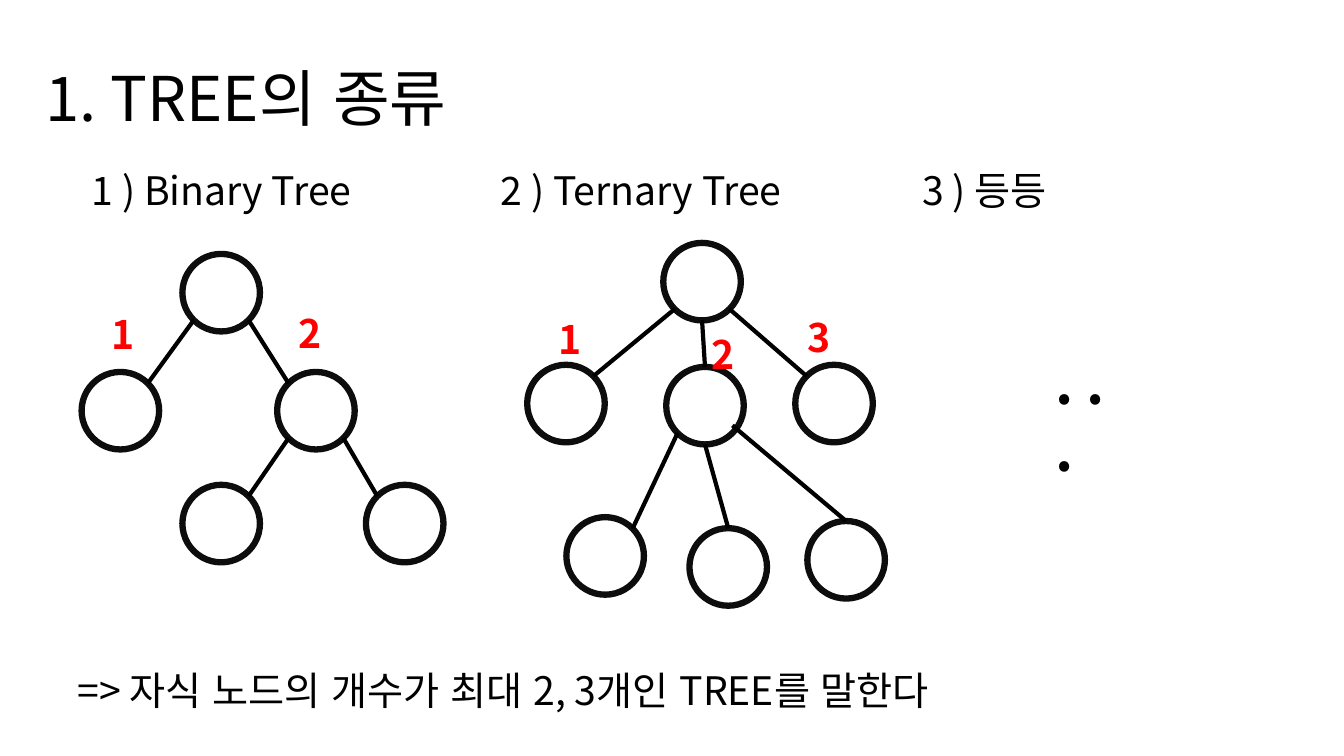
import math
from lxml import etree
from pptx import Presentation
from pptx import util as u
from pptx.dml import color
from pptx.enum import lang, shapes, text
from pptx.oxml import ns

FONT = "Noto Sans CJK KR"
BLACK, RED, WHITE, OUTLINE = "000000", "FF0000", "FFFFFF", "0D0D0D"
NODE = 55.4
SITES = {"top": -90, "top right": -45, "bottom right": 45,
         "bottom": 90, "bottom left": 135, "top left": -135}

BINARY = {
    "nodes": {"root": (130.3, 181.4), "left": (58.3, 265.7), "right": (198, 265.7),
              "right 1": (130.3, 346.3), "right 2": (261.4, 346.3)},
    "edges": [("root", "bottom left", "left", "top right", 0),
              ("root", "bottom right", "right", "top left", 0),
              ("right", "bottom right", "right 2", "top left", 0),
              ("right", "bottom left", "right 1", "top right", 0)],
    "labels": [("1", 72.7, 218.2), ("2", 205.9, 217.4)],
}
TERNARY = {
    "nodes": {"root": (473.8, 173.5), "left": (376.6, 260.6), "middle": (475.9, 262.1),
              "right": (568.1, 260.6), "middle 1": (404.6, 369.4),
              "middle 2": (492.5, 377.3), "middle 3": (576.7, 372.2)},
    "edges": [("root", "bottom left", "left", "top right", 0),
              ("root", "bottom", "middle", "top", 0),
              ("root", "bottom right", "right", "top left", 0),
              ("middle", "bottom left", "middle 1", "top right", 0),
              ("middle", "bottom", "middle 2", "top", 0),
              ("middle", "bottom right", "middle 3", "top", -5.5)],
    "labels": [("1", 391.7, 221.8), ("2", 501.1, 232.6), ("3", 569.5, 220.3)],
}


def rgb(value):
    return color.RGBColor.from_string(value)


def place(box, left, top, width, height):
    box.left, box.top = u.Pt(left), u.Pt(top)
    box.width, box.height = u.Pt(width), u.Pt(height)


def write(box, words, size, ink=BLACK, bold=False):
    frame = box.text_frame
    frame.text = words
    frame.word_wrap = True
    frame.auto_size = text.MSO_AUTO_SIZE.SHAPE_TO_FIT_TEXT
    frame.vertical_anchor = text.MSO_ANCHOR.TOP
    para = frame.paragraphs[0]
    para.alignment = text.PP_ALIGN.LEFT
    for span in para.runs:
        font = span.font
        font.name, font.size, font.bold = FONT, u.Pt(size), bold
        font.color.rgb = rgb(ink)
        font.language_id = lang.MSO_LANGUAGE_ID.KOREAN
        latin = font._element.find(ns.qn("a:latin"))
        east_asian = etree.Element(ns.qn("a:ea"), typeface=FONT)
        latin.addnext(east_asian)


def add_text(parent, words, left, top, width, height, size=28, ink=BLACK, bold=False):
    box = parent.shapes.add_textbox(0, 0, 0, 0)
    place(box, left, top, width, height)
    write(box, words, size, ink, bold)


def add_node(group, left, top):
    node = group.shapes.add_shape(shapes.MSO_SHAPE.OVAL, u.Pt(left), u.Pt(top),
                                  u.Pt(NODE), u.Pt(NODE))
    node.shadow.inherit = False
    node.fill.solid()
    node.fill.fore_color.rgb = rgb(WHITE)
    node.line.color.rgb = rgb(OUTLINE)
    node.line.width = u.Pt(4.5)


def site_point(corner, site):
    angle = math.radians(SITES[site])
    left, top = corner
    return (left + NODE / 2 * (1 + math.cos(angle)),
            top + NODE / 2 * (1 + math.sin(angle)))


def add_edge(group, start, end):
    edge = group.shapes.add_connector(shapes.MSO_CONNECTOR.STRAIGHT,
                                      *(u.Pt(value) for value in (*start, *end)))
    edge.line.color.rgb = rgb(BLACK)
    edge.line.width = u.Pt(3)
    etree.SubElement(edge._element.spPr, ns.qn("a:effectLst"))


def add_tree(page, tree):
    group = page.shapes.add_group_shape()
    nodes = tree["nodes"]
    for corner in nodes.values():
        add_node(group, *corner)
    for parent, parent_site, child, child_site, shift in tree["edges"]:
        x, y = site_point(nodes[parent], parent_site)
        add_edge(group, (x, y + shift), site_point(nodes[child], child_site))
    for words, left, top in tree["labels"]:
        add_text(group, words, left, top, 40.3, 41, ink=RED, bold=True)


def main():
    deck = Presentation()
    deck.slide_width, deck.slide_height = u.Pt(960), u.Pt(540)
    page = deck.slides.add_slide(deck.slide_layouts[5])
    title = page.shapes.title
    place(title, 25.2, 38.9, 421.9, 60.5)
    write(title, "1. TREE의 종류", 44)
    for words, left in (("1 ) Binary Tree", 58.3), ("2 ) Ternary Tree", 350.6),
                        ("3 ) 등등", 651.6)):
        add_text(page, words, left, 115.2, 255.6, 41)
    add_tree(page, BINARY)
    add_tree(page, TERNARY)
    add_text(page, ". . .", 746.6, 245.5, 63.4, 55.4, size=40, bold=True)
    add_text(page, "=> 자식 노드의 개수가 최대 2, 3개인 TREE를 말한다",
             48.2, 472.3, 873.4, 41)
    deck.save("out.pptx")


if __name__ == "__main__":
    main()
